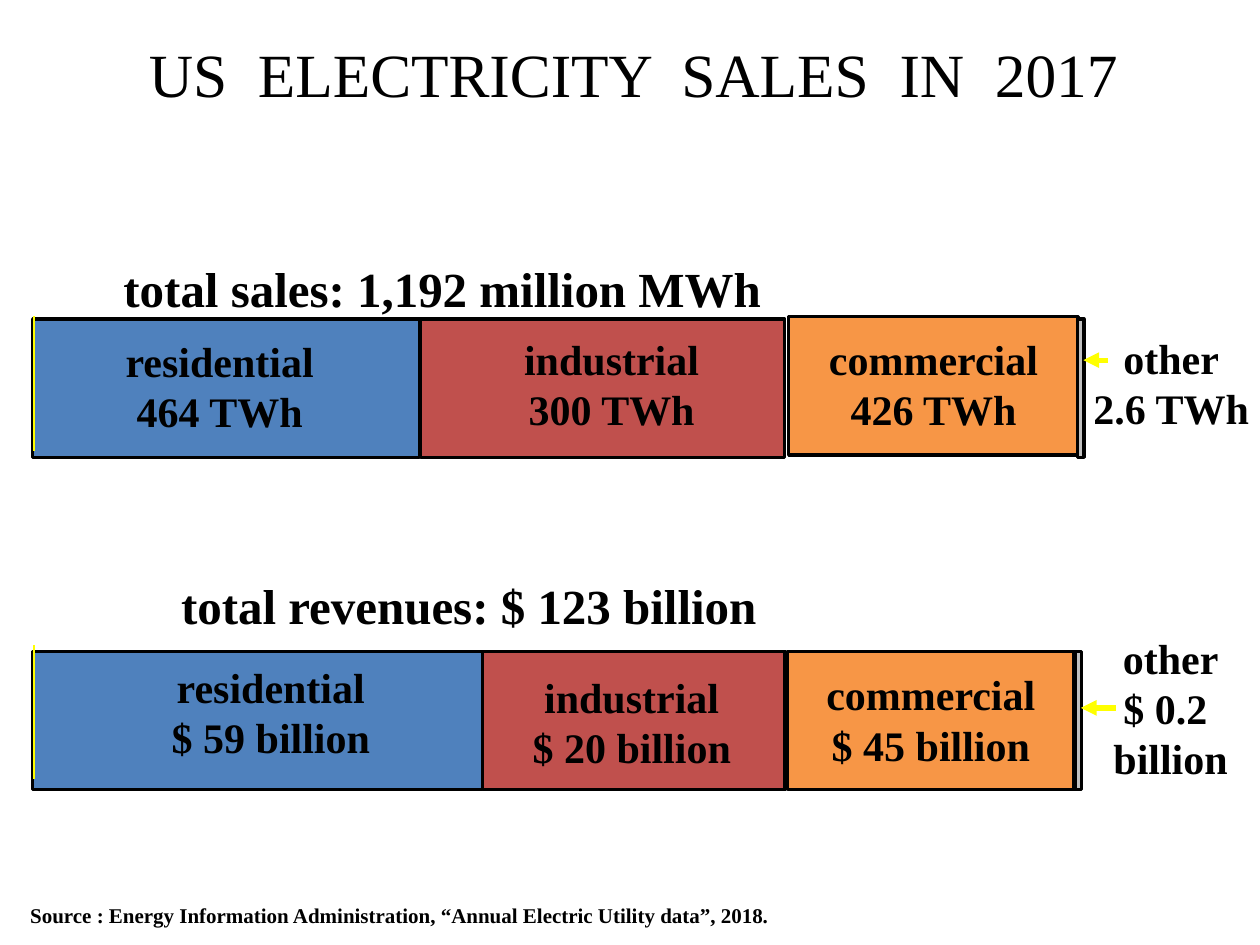
from dataclasses import dataclass

from lxml import etree
from pptx import Presentation
from pptx.dml.color import RGBColor
from pptx.enum.shapes import MSO_CONNECTOR, MSO_SHAPE
from pptx.enum.text import MSO_ANCHOR, MSO_AUTO_SIZE, PP_ALIGN
from pptx.oxml.ns import qn
from pptx.slide import Slide
from pptx.util import Cm, Pt

RECTANGLE = MSO_SHAPE.RECTANGLE
STRAIGHT = MSO_CONNECTOR.STRAIGHT
CENTER, LEFT = PP_ALIGN.CENTER, PP_ALIGN.LEFT
TOP, MIDDLE = MSO_ANCHOR.TOP, MSO_ANCHOR.MIDDLE
FIT_SHAPE = MSO_AUTO_SIZE.SHAPE_TO_FIT_TEXT
NO_FIT = MSO_AUTO_SIZE.NONE


@dataclass(frozen=True)
class Theme:
    font: str = "Times New Roman"
    ink: str = "000000"
    accent: str = "FFFF00"
    residential: str = "4F81BD"
    industrial: str = "C0504D"
    commercial: str = "F79646"
    other: str = "C0C0C0"
    title_size: float = 35.1
    heading_size: float = 28
    label_size: float = 24
    source_size: float = 12
    border: float = 2
    arrow: float = 3
    axis: float = 1


THEME = Theme()
BAR_HEIGHT = 2.79
AXIS_LEFT = 0.69
AXIS_HEIGHT = 2.71


@dataclass(frozen=True)
class Label:
    text: str
    left: float
    top: float
    width: float
    height: float = 2.31
    size: float = THEME.label_size
    bold: bool = True
    wrap: bool = True
    align: PP_ALIGN = CENTER
    anchor: MSO_ANCHOR = TOP
    fit: MSO_AUTO_SIZE = FIT_SHAPE


@dataclass(frozen=True)
class Segment:
    color: str
    left: float
    top: float
    width: float
    label: Label


@dataclass(frozen=True)
class Line:
    start: tuple[float, float]
    end: tuple[float, float]
    width: float
    arrow: bool = False


@dataclass(frozen=True)
class StackedBar:
    heading: Label
    segments: list[Segment]
    axis_top: float
    arrow: Line


TITLE = Label("US  ELECTRICITY  SALES  IN  2017", 0.13, 0.53, 25.27, 1.9,
              THEME.title_size, bold=False, anchor=MIDDLE, fit=NO_FIT)
SOURCE = Label("Source : Energy Information Administration, “Annual Electric Utility data”, 2018.",
               0.36, 18.06, 25.04, 0.76, THEME.source_size, align=LEFT)

SALES = StackedBar(
    Label("total sales: 1,192 million MWh", 2.16, 5.08, 13.51, 1.45,
          THEME.heading_size, wrap=False),
    [
        Segment(THEME.residential, 0.66, 6.43, 7.8,
                Label("residential\n464 TWh", 1.24, 6.63, 6.38)),
        Segment(THEME.industrial, 8.48, 6.43, 7.34,
                Label("industrial\n300 TWh", 9.98, 6.6, 4.7)),
        Segment(THEME.commercial, 15.9, 6.38, 5.84,
                Label("commercial\n426 TWh", 16.43, 6.6, 4.78, wrap=False)),
        Segment(THEME.other, 21.72, 6.43, 0.13,
                Label("other\n2.6 TWh", 21.77, 6.58, 3.68, wrap=False)),
    ],
    6.38,
    Line((22.33, 7.26), (21.84, 7.26), THEME.arrow, arrow=True),
)

REVENUES = StackedBar(
    Label("total revenues: $ 123 billion", 3.33, 11.48, 12.24, 1.45,
          THEME.heading_size, wrap=False),
    [
        Segment(THEME.residential, 0.66, 13.13, 9.07,
                Label("residential\n$ 59 billion", 2.26, 13.21, 6.4)),
        Segment(THEME.industrial, 9.73, 13.13, 6.1,
                Label("industrial\n$ 20 billion", 10.46, 13.41, 4.55, wrap=False)),
        Segment(THEME.commercial, 15.88, 13.13, 5.77,
                Label("commercial $ 45 billion", 16.15, 13.36, 5.23)),
        Segment(THEME.other, 21.67, 13.13, 0.13,
                Label("other\n$ 0.2 \nbillion", 22.15, 12.62, 2.9, 3.33, wrap=False)),
    ],
    13.0,
    Line((22.5, 14.27), (21.79, 14.27), THEME.arrow, arrow=True),
)


def draw_label(page: Slide, label: Label) -> None:
    box = page.shapes.add_textbox(Cm(label.left), Cm(label.top), Cm(label.width), Cm(label.height))
    frame = box.text_frame
    frame.text = label.text
    frame.word_wrap = label.wrap
    frame.auto_size = label.fit
    frame.vertical_anchor = label.anchor
    for para in frame.paragraphs:
        para.alignment = label.align
        for span in para.runs:
            span.font.name = THEME.font
            span.font.size = Pt(label.size)
            span.font.bold = label.bold
            span.font.color.rgb = RGBColor.from_string(THEME.ink)


def draw_segment(page: Slide, segment: Segment) -> None:
    block = page.shapes.add_shape(RECTANGLE, Cm(segment.left), Cm(segment.top),
                                  Cm(segment.width), Cm(BAR_HEIGHT))
    block.shadow.inherit = False
    block.fill.solid()
    block.fill.fore_color.rgb = RGBColor.from_string(segment.color)
    block.line.color.rgb = RGBColor.from_string(THEME.ink)
    block.line.width = Pt(THEME.border)


def draw_line(page: Slide, line: Line) -> None:
    connector = page.shapes.add_connector(STRAIGHT, *map(Cm, line.start + line.end))
    connector.line.color.rgb = RGBColor.from_string(THEME.accent)
    connector.line.width = Pt(line.width)
    properties = connector._element.spPr
    if line.arrow:
        etree.SubElement(properties.find(qn("a:ln")), qn("a:tailEnd"), type="triangle")
    etree.SubElement(properties, qn("a:effectLst"))


def draw_stacked_bar(page: Slide, bar: StackedBar) -> None:
    draw_label(page, bar.heading)
    for segment in bar.segments:
        draw_segment(page, segment)
    for segment in bar.segments:
        draw_label(page, segment.label)
    draw_line(page, bar.arrow)
    draw_line(page, Line((AXIS_LEFT, bar.axis_top), (AXIS_LEFT, bar.axis_top + AXIS_HEIGHT),
                         THEME.axis))


def main() -> None:
    deck = Presentation()
    deck.slide_width, deck.slide_height = Cm(25.4), Cm(19.05)
    page = deck.slides.add_slide(deck.slide_layouts[6])
    draw_label(page, TITLE)
    for bar in (SALES, REVENUES):
        draw_stacked_bar(page, bar)
    draw_label(page, SOURCE)
    deck.save("out.pptx")


if __name__ == "__main__":
    main()
